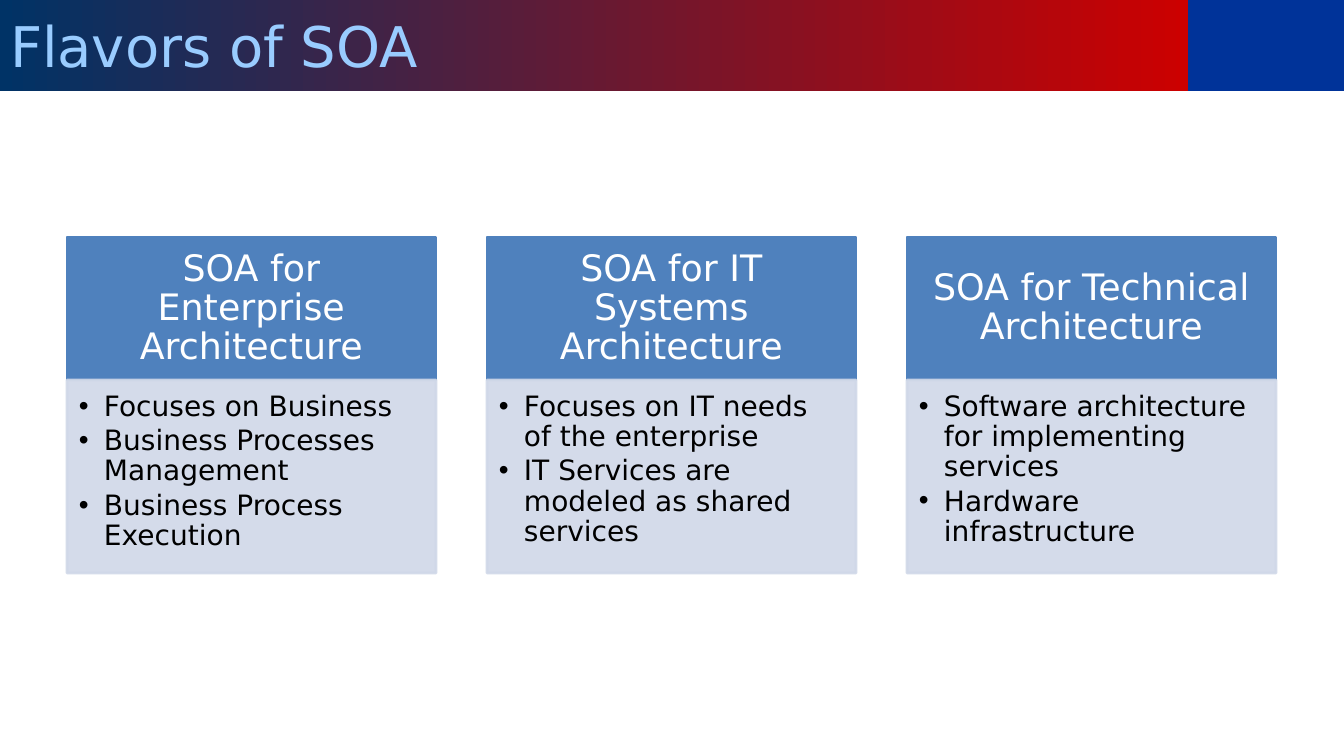
"""Builds a slide that compares three flavors of SOA."""
from dataclasses import dataclass

from lxml import etree
from pptx import Presentation
from pptx import util as u
from pptx.dml import color
from pptx.enum import shapes, text
from pptx.oxml import ns


@dataclass(frozen=True)
class Theme:
    font: str = "DejaVu Sans"
    navy: str = "003366"
    red: str = "CC0000"
    royal: str = "003399"
    sky: str = "99CCFF"
    blue: str = "4F81BD"
    pale: str = "D0D8E8"
    white: str = "FFFFFF"
    black: str = "000000"
    title: int = 40
    head: int = 26
    item: int = 20


SCALE = 12192000 / 1344
WIDE, HIGH = 1344, 756
BAR, TITLE = 91, 1188
LEFT, STEP, WIDTH = 67, 420, 369
TOP, HEAD, LIST = 237, 143, 193
CARDS = [
    ("SOA for Enterprise Architecture",
     ["Focuses on Business", "Business Processes Management",
      "Business Process Execution"]),
    ("SOA for IT Systems Architecture",
     ["Focuses on IT needs of the enterprise",
      "IT Services are modeled as shared services"]),
    ("SOA for Technical Architecture",
     ["Software architecture for implementing services",
      "Hardware infrastructure"]),
]


def px(num):
    return u.Emu(round(num * SCALE))


def rgb(code):
    return color.RGBColor.from_string(code)


def write(box, lines, *, font, size, ink, align=text.PP_ALIGN.LEFT,
          anchor=text.MSO_ANCHOR.MIDDLE, inset=(10, 5, 10, 5),
          space=1.0, after=0, bullet=None, indent=25):
    frame = box.text_frame
    frame.word_wrap = True
    frame.auto_size = text.MSO_AUTO_SIZE.NONE
    frame.vertical_anchor = anchor
    (frame.margin_left, frame.margin_top,
     frame.margin_right, frame.margin_bottom) = map(px, inset)
    frame.text = "\n".join(lines)
    for para in frame.paragraphs:
        para.alignment = align
        para.line_spacing = space
        para.space_before = u.Pt(0)
        para.space_after = u.Pt(after)
        face = para.runs[0].font
        face.name, face.size, face.bold = font, u.Pt(size), False
        face.color.rgb = rgb(ink)
        if bullet:
            para.level = 1
            props = para._p.get_or_add_pPr()
            props.set("marL", str(px(indent)))
            props.set("indent", str(-px(indent)))
            etree.SubElement(props, ns.qn("a:buChar")).set("char", bullet)


class Deck:
    """Holds the theme and the current slide."""

    def __init__(self, theme):
        self.theme = theme
        self.show = Presentation()
        self.show.slide_width, self.show.slide_height = px(WIDE), px(HIGH)
        self.page = self.show.slides.add_slide(self.show.slide_layouts[4])
        self.slots = list(self.page.placeholders)[1:]

    def place(self, box, left, top, width, height):
        box.left, box.top = px(left), px(top)
        box.width, box.height = px(width), px(height)
        self.page.shapes._spTree.append(box._element)

    def paint(self, box, fill, line=None, alpha=None):
        box.fill.solid()
        box.fill.fore_color.rgb = rgb(fill)
        if line:
            box.line.color.rgb = rgb(line)
            box.line.width = u.Pt(2)
        else:
            box.line.fill.background()
        if alpha:
            for tone in box._element.spPr.iter(ns.qn("a:srgbClr")):
                etree.SubElement(tone, ns.qn("a:alpha")).set(
                    "val", str(alpha * 1000))

    def rect(self, left, top, width, height, fill, line=None):
        box = self.page.shapes.add_shape(
            shapes.MSO_SHAPE.RECTANGLE, *map(px, (left, top, width, height)))
        box.shadow.inherit = False
        self.paint(box, fill, line)
        return box

    def title(self, words):
        look, box = self.theme, self.page.shapes.title
        self.place(box, 0, 0, TITLE, BAR)
        box.fill.gradient()
        box.fill.gradient_angle = 0
        tones = (look.navy, look.red)
        for stop, tone, spot in zip(box.fill.gradient_stops, tones, (0, 1)):
            stop.color.rgb = rgb(tone)
            stop.position = spot
        write(box, [words], font=look.font, size=look.title, ink=look.sky)

    def head(self, left, words):
        look = self.theme
        box = self.rect(left, TOP, WIDTH, HEAD, look.blue, look.blue)
        write(box, [words], font=look.font, size=look.head, ink=look.white,
              align=text.PP_ALIGN.CENTER, inset=(20, 12, 20, 12), space=0.9)

    def list(self, left, items):
        look, box = self.theme, self.slots.pop(0)
        self.place(box, left, TOP + HEAD, WIDTH, LIST)
        self.paint(box, look.pale, look.pale, 90)
        write(box, items, font=look.font, size=look.item, ink=look.black,
              anchor=text.MSO_ANCHOR.TOP, inset=(12, 12, 16, 17),
              space=0.9, after=3, bullet="•")

    def save(self):
        for slot in self.slots:
            self.page.shapes._spTree.remove(slot._element)
        self.show.save("out.pptx")


def main():
    deck = Deck(Theme())
    deck.rect(TITLE, 0, WIDE - TITLE, BAR, deck.theme.royal)
    deck.title("Flavors of SOA")
    for col, (name, items) in enumerate(CARDS):
        left = LEFT + col * STEP
        deck.head(left, name)
        deck.list(left, items)
    deck.save()


if __name__ == "__main__":
    main()
